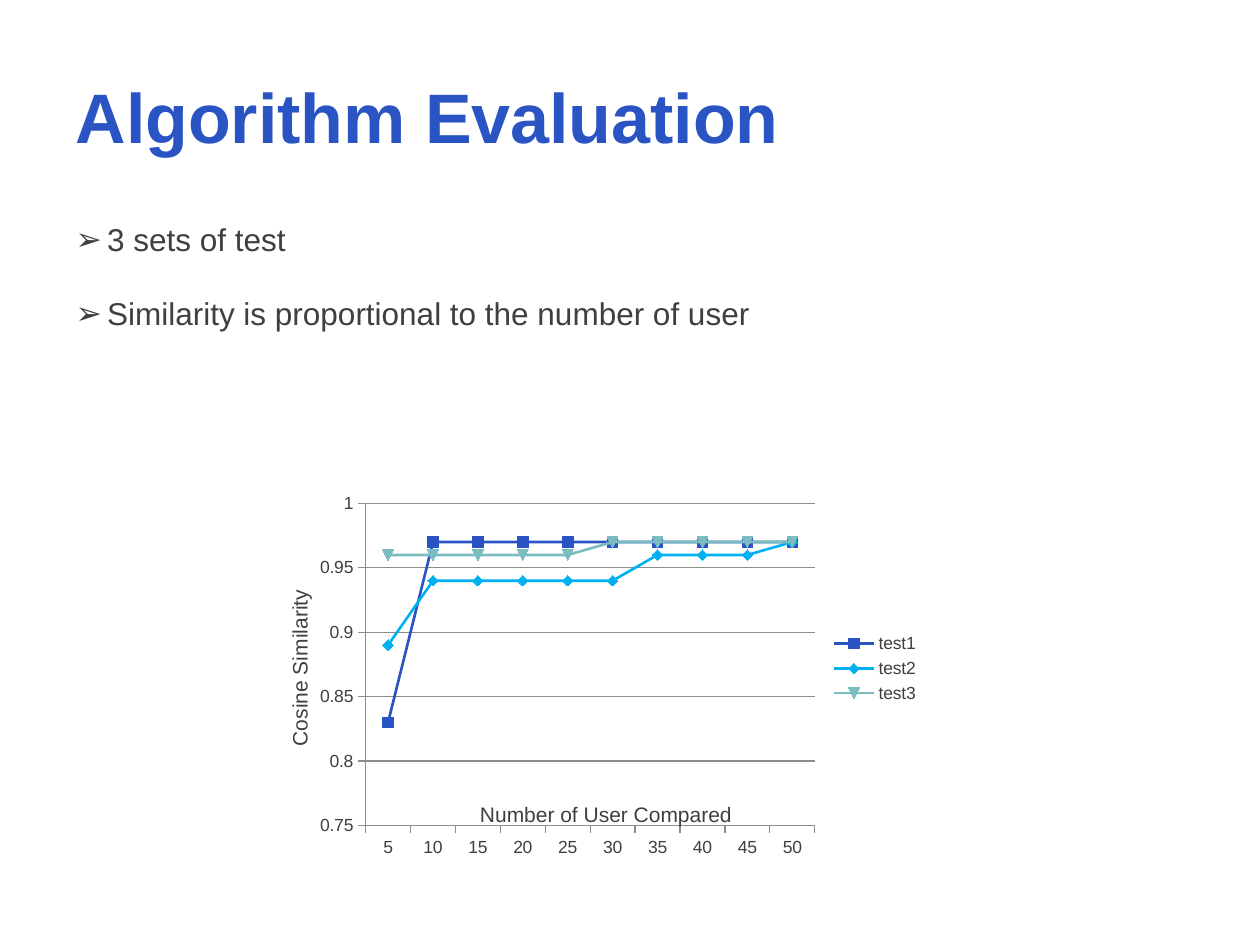
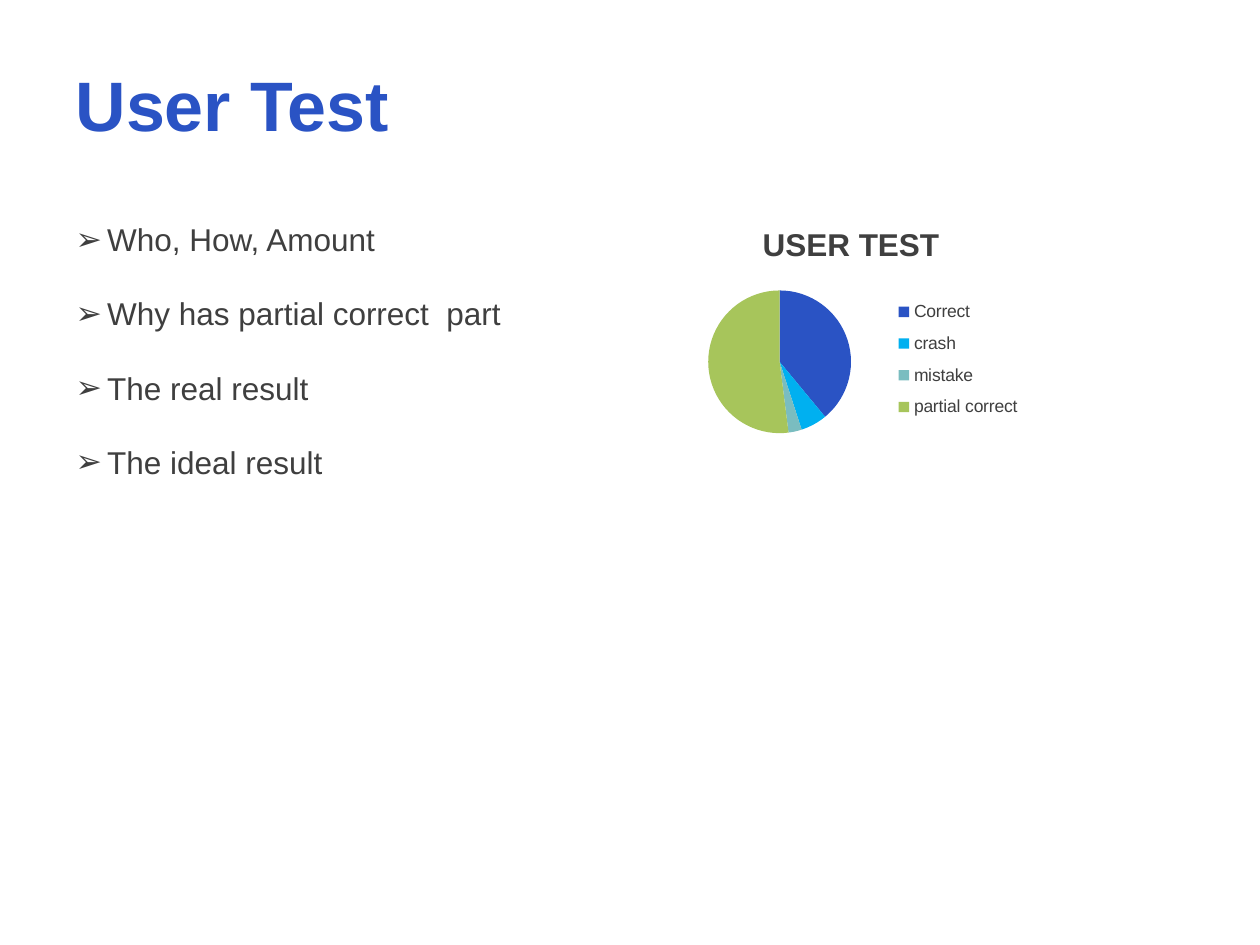
from dataclasses import dataclass

from lxml import etree
from pptx import Presentation
from pptx.chart.chart import Chart
from pptx.chart.data import CategoryChartData
from pptx.dml.color import RGBColor
from pptx.enum.chart import XL_CHART_TYPE as ChartType
from pptx.enum.chart import XL_LEGEND_POSITION as LegendPosition
from pptx.enum.chart import XL_TICK_MARK as TickMark
from pptx.enum.text import MSO_ANCHOR as Anchor
from pptx.enum.text import MSO_AUTO_SIZE as AutoSize
from pptx.enum.text import PP_ALIGN as Align
from pptx.oxml.ns import qn
from pptx.slide import Slide
from pptx.text.text import Font
from pptx.util import Pt

PX = 914400 / 126
FONT = "Arial"
BLUE, SKY, TEAL, GREEN = "2A53C4", "00B0F0", "7ABDC0", "A7C55B"
TEXT, AXIS = "3F3F3F", "8C8C8C"


@dataclass(frozen=True)
class Box:
    left: int
    top: int
    width: int
    height: int

    def emu(self) -> tuple[int, int, int, int]:
        return (px(self.left), px(self.top), px(self.width), px(self.height))


@dataclass(frozen=True)
class Layout:
    """Place of a chart part, as fractions of the chart."""
    x: float
    y: float
    w: float
    h: float


@dataclass(frozen=True)
class Series:
    name: str
    values: tuple[float, ...]
    color: str


@dataclass(frozen=True)
class Slice:
    name: str
    percent: int
    color: str


@dataclass(frozen=True)
class AxisLabel:
    text: str
    box: Box
    rotation: int = 0


@dataclass(frozen=True)
class Page:
    title: str
    title_box: Box
    bullets: tuple[str, ...]


BODY_BOX = Box(63, 195, 1086, 134)
EVALUATION = Page(
    "Algorithm Evaluation", Box(63, 67, 940, 97),
    ("3 sets of test", "Similarity is proportional to the number of user"))
USER_TEST = Page(
    "User Test", Box(63, 55, 483, 97),
    ("Who, How, Amount", "Why has partial correct  part",
     "The real result", "The ideal result"))

SIMILARITY_BOX = Box(281, 472, 651, 393)
SIMILARITY_PLOT = Layout(0.13, 0.08, 0.69, 0.82)
USER_COUNTS = range(5, 51, 5)
SIMILARITY = (
    Series("test1", (0.83,) + (0.97,) * 9, BLUE),
    Series("test2", (0.89,) + (0.94,) * 5 + (0.96,) * 3 + (0.97,), SKY),
    Series("test3", (0.96,) * 5 + (0.97,) * 5, TEAL))
AXIS_LABELS = (
    AxisLabel("Cosine Similarity", Box(208, 649, 183, 38), 270),
    AxisLabel("Number of User Compared", Box(465, 795, 282, 38)))

RESULT_TITLE = "USER TEST"
RESULT_BOX = Box(641, 207, 420, 244)
RESULT_PLOT = Layout(0.16, 0.34, 0.34, 0.59)
RESULT_LEGEND = Layout(0.59, 0.34, 0.33, 0.57)
RESULTS = (
    Slice("Correct", 39, BLUE), Slice("crash", 6, SKY),
    Slice("mistake", 3, TEAL), Slice("partial correct", 52, GREEN))


def px(length: int) -> int:
    return round(length * PX)


def rgb(color: str) -> RGBColor:
    return RGBColor.from_string(color)


def set_font(font: Font, size: int, color: str = TEXT, bold: bool = False) -> None:
    font.name = FONT
    font.size = Pt(size)
    font.bold = bold
    font.color.rgb = rgb(color)


def move(shape, box: Box) -> None:
    shape.left, shape.top, shape.width, shape.height = box.emu()


def add_bullet(paragraph) -> None:
    """Give a paragraph an arrow bullet with a hanging indent."""
    properties = paragraph._p.get_or_add_pPr()
    properties.set("marL", "228600")
    properties.set("indent", "-228600")
    etree.SubElement(properties, qn("a:buFont"), typeface=FONT)
    etree.SubElement(properties, qn("a:buChar"), char="➢")


def add_page(presentation, page: Page) -> Slide:
    slide = presentation.slides.add_slide(presentation.slide_layouts[1])
    title, body = slide.shapes.title, slide.placeholders[1]

    move(title, page.title_box)
    title.text_frame.text = page.title
    title.text_frame.vertical_anchor = Anchor.TOP
    title.text_frame.auto_size = AutoSize.NONE
    heading = title.text_frame.paragraphs[0]
    heading.alignment = Align.LEFT
    set_font(heading.font, 40, BLUE, bold=True)

    move(body, BODY_BOX)
    frame = body.text_frame
    frame.auto_size = AutoSize.NONE
    frame.text = "\n".join(page.bullets)
    for index, paragraph in enumerate(frame.paragraphs):
        add_bullet(paragraph)
        paragraph.line_spacing = 1.5
        paragraph.space_before = Pt(10 if index else 0)
        set_font(paragraph.font, 18)
    return slide


def make_layout(layout: Layout, inner: bool = False):
    element = etree.Element(qn("c:layout"))
    manual = etree.SubElement(element, qn("c:manualLayout"))
    if inner:
        etree.SubElement(manual, qn("c:layoutTarget"), val="inner")
    for side in ("x", "y"):
        etree.SubElement(manual, qn(f"c:{side}Mode"), val="edge")
    for side in ("x", "y", "w", "h"):
        etree.SubElement(manual, qn(f"c:{side}"), val=str(getattr(layout, side)))
    return element


def drop_layout(parent) -> None:
    for old in parent.findall(qn("c:layout")):
        parent.remove(old)


def add_chart(slide: Slide, kind: ChartType, box: Box, data: CategoryChartData,
              plot: Layout) -> Chart:
    """Add a chart with the shared font, a right legend and a placed plot."""
    chart = slide.shapes.add_chart(kind, *box.emu(), data).chart
    set_font(chart.font, 10)
    chart.has_title = False
    chart.has_legend = True
    chart.legend.position = LegendPosition.RIGHT
    chart.legend.include_in_layout = False
    chart.plots[0].vary_by_categories = False
    area = chart._chartSpace.chart.plotArea
    drop_layout(area)
    area.insert(0, make_layout(plot, inner=True))
    return chart


def add_similarity_chart(slide: Slide) -> None:
    data = CategoryChartData()
    data.categories = USER_COUNTS
    for series in SIMILARITY:
        data.add_series(series.name, series.values)
    chart = add_chart(slide, ChartType.LINE_MARKERS, SIMILARITY_BOX, data,
                      SIMILARITY_PLOT)

    for line, series in zip(chart.plots[0].series, SIMILARITY):
        line.smooth = False
        line.format.line.width = Pt(1.5)
        line.format.line.color.rgb = rgb(series.color)
        line.marker.size = 6
        line.marker.format.fill.solid()
        line.marker.format.fill.fore_color.rgb = rgb(series.color)
        line.marker.format.line.color.rgb = rgb(series.color)

    for axis in (chart.category_axis, chart.value_axis):
        axis.major_tick_mark = TickMark.OUTSIDE
        axis.minor_tick_mark = TickMark.NONE
        axis.format.line.color.rgb = rgb(AXIS)
        axis.tick_labels.number_format = "General"
        axis.tick_labels.number_format_is_linked = False
    scale = chart.value_axis
    scale.minimum_scale, scale.maximum_scale, scale.major_unit = 0.75, 1, 0.05
    scale.has_major_gridlines = True
    scale.major_gridlines.format.line.color.rgb = rgb(AXIS)


def add_axis_label(slide: Slide, label: AxisLabel) -> None:
    shape = slide.shapes.add_textbox(*label.box.emu())
    shape.rotation = label.rotation
    shape.text_frame.text = label.text
    paragraph = shape.text_frame.paragraphs[0]
    paragraph.alignment = Align.CENTER
    set_font(paragraph.font, 12)


def add_result_chart(slide: Slide) -> None:
    data = CategoryChartData()
    data.categories = [part.name for part in RESULTS]
    data.add_series(RESULT_TITLE, [part.percent for part in RESULTS])
    chart = add_chart(slide, ChartType.PIE, RESULT_BOX, data, RESULT_PLOT)
    chart.plots[0].vary_by_categories = True

    chart.has_title = True
    chart.chart_title.text_frame.text = RESULT_TITLE
    set_font(chart.chart_title.text_frame.paragraphs[0].font, 18, bold=True)

    legend = chart.legend._element
    drop_layout(legend)
    legend.find(qn("c:legendPos")).addnext(make_layout(RESULT_LEGEND))

    for index, part in enumerate(RESULTS):
        fill = chart.plots[0].series[0].points[index].format.fill
        fill.solid()
        fill.fore_color.rgb = rgb(part.color)


def main() -> None:
    presentation = Presentation()
    presentation.slide_width, presentation.slide_height = px(1260), px(945)

    evaluation = add_page(presentation, EVALUATION)
    add_similarity_chart(evaluation)
    for label in AXIS_LABELS:
        add_axis_label(evaluation, label)

    user_test = add_page(presentation, USER_TEST)
    add_result_chart(user_test)

    presentation.save("out.pptx")


if __name__ == "__main__":
    main()
